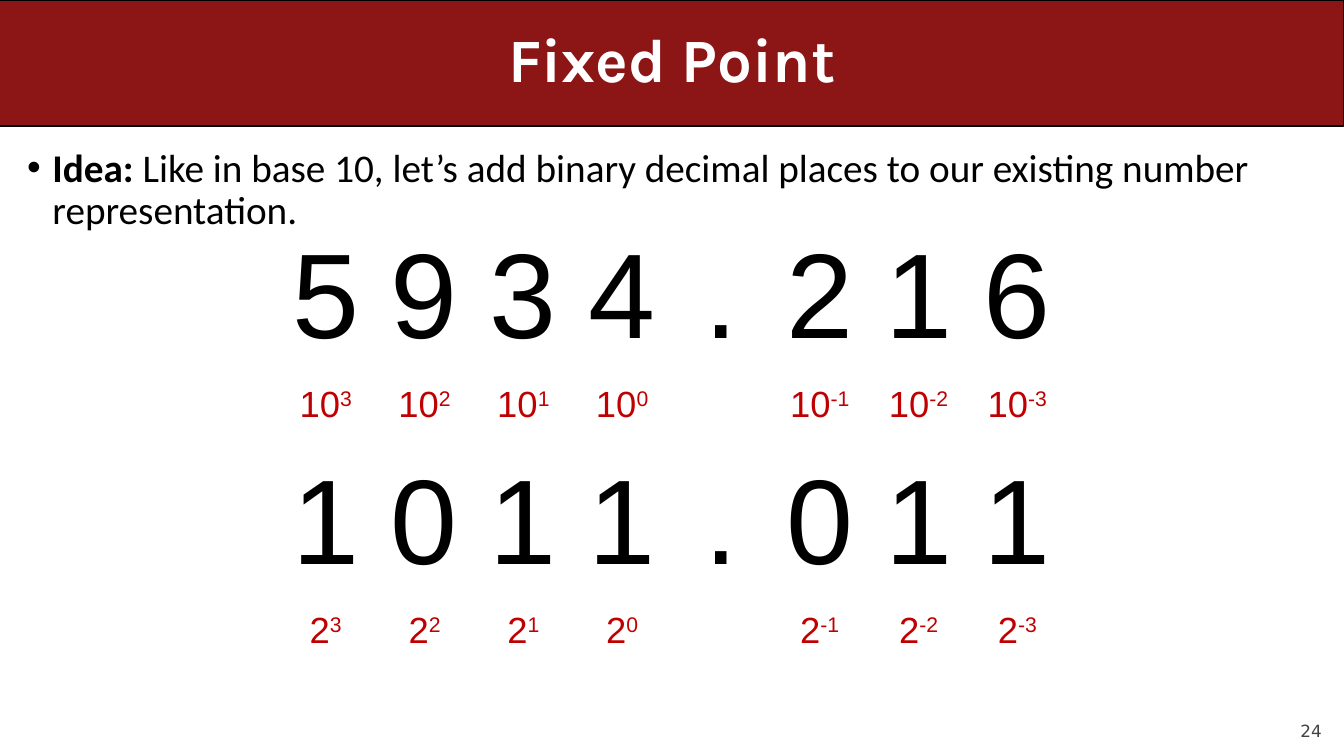
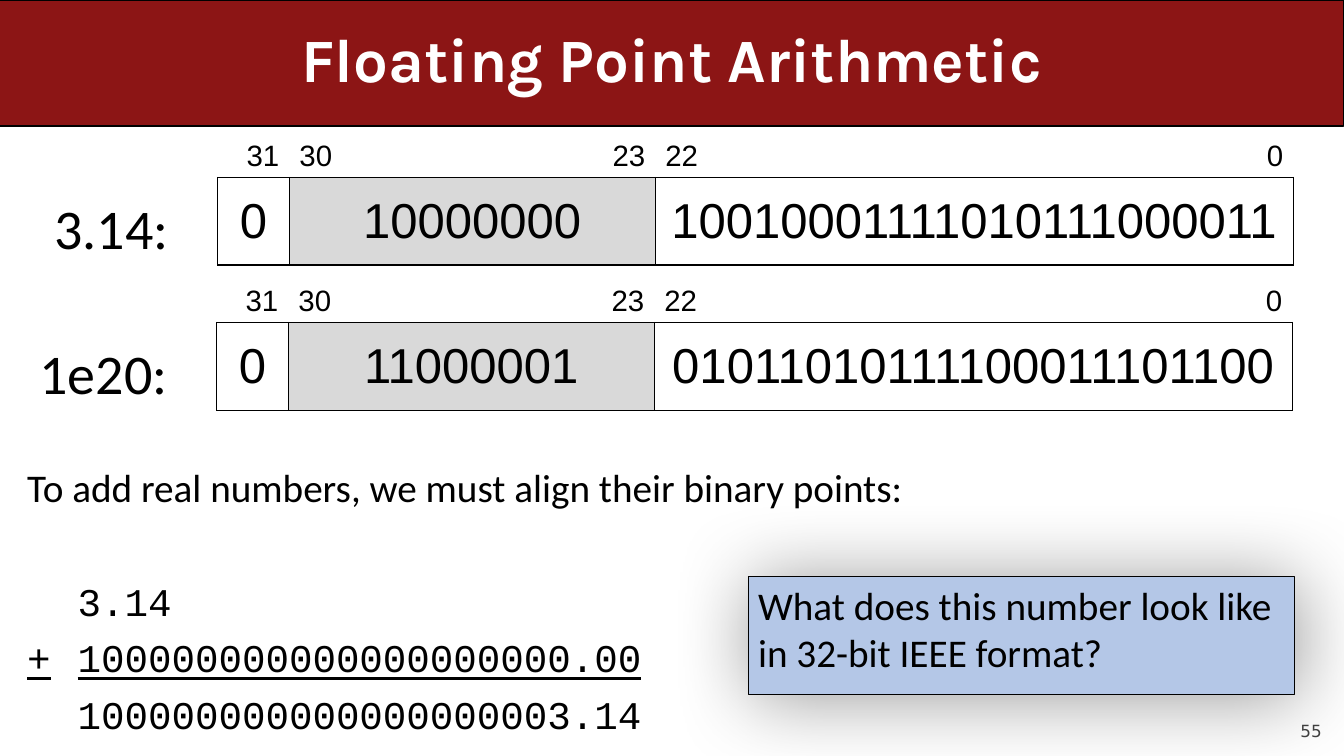
from lxml import etree
from pptx import Presentation
from pptx.dml.color import RGBColor
from pptx.enum.shapes import MSO_SHAPE
from pptx.enum.text import MSO_ANCHOR, MSO_AUTO_SIZE, PP_ALIGN
from pptx.oxml.ns import qn
from pptx.util import Inches, Pt

RECT, ROUND_RECT = MSO_SHAPE.RECTANGLE, MSO_SHAPE.ROUNDED_RECTANGLE
TOP, MIDDLE, BOTTOM = MSO_ANCHOR.TOP, MSO_ANCHOR.MIDDLE, MSO_ANCHOR.BOTTOM
LEFT, CENTER, RIGHT = PP_ALIGN.LEFT, PP_ALIGN.CENTER, PP_ALIGN.RIGHT
NO_FIT, GROW = MSO_AUTO_SIZE.NONE, MSO_AUTO_SIZE.SHAPE_TO_FIT_TEXT

BLACK = RGBColor(0x00, 0x00, 0x00)
WHITE = RGBColor(0xFF, 0xFF, 0xFF)
CARDINAL = RGBColor(0x8C, 0x15, 0x15)
RED = RGBColor(0xC0, 0x00, 0x00)
SLATE = RGBColor(0x42, 0x42, 0x42)
GRAY = RGBColor(0xD9, 0xD9, 0xD9)
BLUE = RGBColor(0xB4, 0xC7, 0xE7)

SLIDE_W, SLIDE_H, BAND_H = 13.33, 7.5, 1.25
PLAIN_TABLE = "{2D5ABB26-0587-4C30-8999-92F81FD0307C}"


def sub(parent, tag, **attrs):
    el = etree.SubElement(parent, qn(tag))
    for name, value in attrs.items():
        el.set(name, str(value))
    return el


class Deck:
    heading, sans, digits, mono = "Karla", "Calibri", "Arial", "Courier New"
    number_font = "DejaVu Sans"

    def __init__(self):
        self.prs = Presentation()
        self.prs.slide_width = Inches(SLIDE_W)
        self.prs.slide_height = Inches(SLIDE_H)

    def slide(self, title, number):
        self.s = self.prs.slides.add_slide(self.prs.slide_layouts[1])
        sp = self.s.shapes.title
        band = self.box(0, 0, SLIDE_W, BAND_H, CARDINAL, ROUND_RECT)
        band.adjustments[0] = 0
        sp._element.addprevious(band._element)
        self.place(sp, 0.5, 0, 12.33, BAND_H)
        sp.text_frame.vertical_anchor = MIDDLE
        p = self.para(sp.text_frame, CENTER, 0.9)
        self.run(p, title, 44, self.heading, WHITE, bold=True)
        tf = self.text(12, 6.95, 1.11, 0.4).text_frame
        tf.margin_left = tf.margin_right = tf.margin_top = tf.margin_bottom = 0
        tf.vertical_anchor = BOTTOM
        self.run(self.para(tf, RIGHT), str(number), 12, self.number_font, SLATE)

    def place(self, sp, x, y, w, h):
        sp.left, sp.top, sp.width, sp.height = map(Inches, (x, y, w, h))
        sp.text_frame.auto_size = NO_FIT

    def body(self, y, h):
        sp = self.s.placeholders[1]
        self.place(sp, 0.17, y, 12.92, h)
        return sp.text_frame

    def para(self, tf, align=LEFT, spacing=1.0, before=0, bullet=None, tab=None):
        p = tf.paragraphs[0]
        if p.runs:
            p = tf.add_paragraph()
        pPr = p._p.get_or_add_pPr()
        indent = Inches(0.25) if bullet else 0
        pPr.set("marL", str(indent))
        pPr.set("indent", str(-indent))
        if bullet:
            sub(pPr, "a:buFont", typeface="Arial")
            sub(pPr, "a:buChar", char=bullet)
        else:
            sub(pPr, "a:buNone")
        if tab:
            sub(sub(pPr, "a:tabLst"), "a:tab", pos=Inches(tab), algn="r")
        p.alignment, p.line_spacing, p.space_before = align, spacing, Pt(before)
        return p

    def run(self, p, text, size, font=sans, color=BLACK, bold=False,
            underline=False, raised=False):
        r = p.add_run()
        r.text = text
        f = r.font
        f.size, f.name, f.bold, f.underline = Pt(size), font, bold, underline
        f.color.rgb = color
        if raised:
            r._r.get_or_add_rPr().set("baseline", "30000")

    def text(self, x, y, w, h):
        return self.s.shapes.add_textbox(*map(Inches, (x, y, w, h)))

    def label(self, text, x, y, w, h):
        tf = self.text(x, y, w, h).text_frame
        tf.word_wrap, tf.auto_size = False, GROW
        self.run(self.para(tf, RIGHT), text, 40)

    def box(self, x, y, w, h, fill, kind=RECT):
        sp = self.s.shapes.add_shape(kind, *map(Inches, (x, y, w, h)))
        sp.shadow.inherit = False
        sp.fill.solid()
        sp.fill.fore_color.rgb = fill
        sp.line.color.rgb = BLACK
        sp.line.width = Pt(0.75)
        return sp

    def callout(self, text, x, y, w, h):
        sp = self.box(x, y, w, h, BLUE)
        effects = sp._element.spPr.find(qn("a:effectLst"))
        shadow = sub(effects, "a:outerShdw", blurRad=Pt(58), dist=Pt(3),
                     dir=45 * 60000, algn="tl", rotWithShape=0)
        sub(sub(shadow, "a:srgbClr", val=BLACK), "a:alpha", val=40000)
        sp.text_frame.word_wrap = True
        sp.text_frame.vertical_anchor = TOP
        self.run(self.para(sp.text_frame), text, 28)

    def table(self, x, y, widths, heights):
        frame = self.s.shapes.add_table(
            len(heights), len(widths), Inches(x), Inches(y),
            Inches(sum(widths)), Inches(sum(heights)))
        table = frame.table
        table.first_row = table.horz_banding = False
        table._tbl.tblPr.find(qn("a:tableStyleId")).text = PLAIN_TABLE
        for column, width in zip(table.columns, widths):
            column.width = Inches(width)
        for row, height in zip(table.rows, heights):
            row.height = Inches(height)
        for cell in table.iter_cells():
            cell.fill.background()
        return table

    def cell(self, cell, text, size, align=CENTER, anchor=MIDDLE, color=BLACK, power=""):
        cell.vertical_anchor = anchor
        p = self.para(cell.text_frame, align)
        self.run(p, text, size, self.digits, color)
        if power:
            self.run(p, power, size, self.digits, color, raised=True)

    def border(self, cell):
        tcPr = cell._tc.get_or_add_tcPr()
        for i, side in enumerate(("a:lnL", "a:lnR", "a:lnT", "a:lnB")):
            ln = sub(tcPr, side, w=Pt(1))
            sub(sub(ln, "a:solidFill"), "a:srgbClr", val=BLACK)
            tcPr.insert(i, ln)

    def place_values(self, y, number, base):
        table = self.table(2.74, y, [0.98] * len(number), [1.47, 0.6])
        point = number.index(".")
        for i, digit in enumerate(number):
            self.cell(table.cell(0, i), digit, 86)
            if i != point:
                power = point - i - (i < point)
                self.cell(table.cell(1, i), base, 26, color=RED, power=str(power))

    def float_bits(self, x, y, fields):
        widths = [0.71] + [3.63 / 3] * 3 + [6.33 / 6] * 6
        table = self.table(x, y, widths, [0.87, 0.87])
        for col, text, align in ((0, "31", RIGHT), (1, "30", LEFT), (3, "23", RIGHT),
                                 (4, "22", LEFT), (9, "0", RIGHT)):
            self.cell(table.cell(0, col), text, 21, align, BOTTOM)
        for (first, last), bits in zip(((0, 0), (1, 3), (4, 9)), fields):
            cell = table.cell(1, first)
            if last > first:
                cell.merge(table.cell(1, last))
            self.cell(cell, bits, 35)
            for col in range(first, last + 1):
                self.border(table.cell(1, col))
        exponent = table.cell(1, 1)
        exponent.fill.solid()
        exponent.fill.fore_color.rgb = GRAY


def fixed_point(deck):
    deck.slide("Fixed Point", 24)
    p = deck.para(deck.body(1.42, 5.67), spacing=0.9, bullet="•")
    deck.run(p, "Idea:", 28, bold=True)
    deck.run(p, " Like in base 10, let’s add binary decimal places to our "
                "existing number representation.", 28)
    deck.place_values(4.42, "1011.011", "2")
    deck.place_values(2.18, "5934.216", "10")


def floating_point(deck):
    deck.slide("Floating Point Arithmetic", 55)
    tf = deck.body(4.6, 2.48)
    p = deck.para(tf, spacing=0.9)
    deck.run(p, "To add real numbers, we must align their binary points:", 28)
    for text, before, underline in (("\t3.14", 51, False),
                                    ("+\t100000000000000000000.00", 10, True),
                                    ("\t100000000000000000003.14", 10, False)):
        p = deck.para(tf, spacing=0.9, before=before, tab=6.3)
        deck.run(p, text, 28, deck.mono, underline=underline)
    deck.float_bits(2.16, 0.89, ("0", "10000000", "10010001111010111000011"))
    deck.float_bits(2.15, 2.33, ("0", "11000001", "01011010111100011101100"))
    deck.label("3.14:", 0.42, 1.87, 1.35, 0.77)
    deck.label("1e20:", 0.28, 3.31, 1.48, 0.77)
    deck.callout("What does this number look like in 32-bit IEEE format?",
                 7.42, 5.72, 5.42, 1.17)


def main():
    deck = Deck()
    fixed_point(deck)
    floating_point(deck)
    deck.prs.save("out.pptx")


if __name__ == "__main__":
    main()
